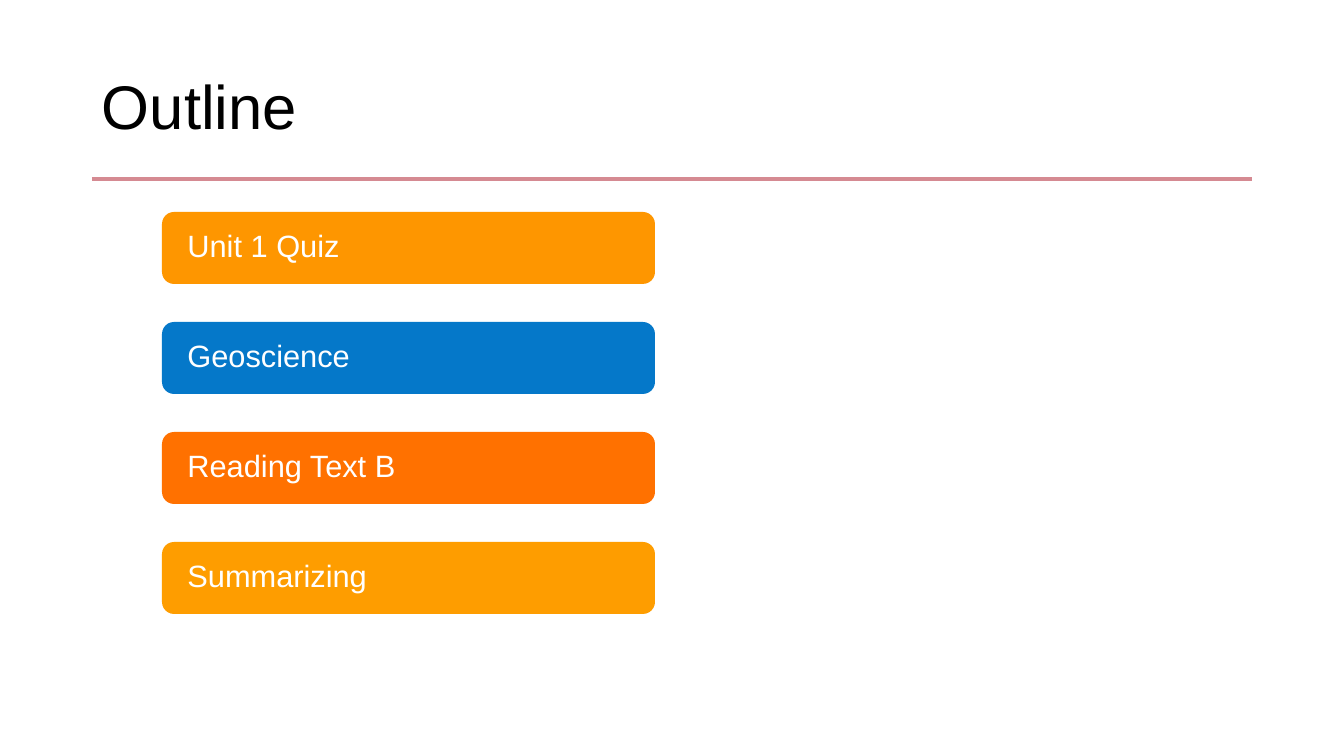
import pptx
import pptx.dml.color
import pptx.enum.shapes
import pptx.enum.text
import pptx.oxml.ns
import pptx.util
from lxml import etree

RGBColor = pptx.dml.color.RGBColor
BLACK = RGBColor(0x00, 0x00, 0x00)
WHITE = RGBColor(0xFF, 0xFF, 0xFF)
ROSE = RGBColor(0xD5, 0x8A, 0x92)
AMBER = RGBColor(0xFE, 0x96, 0x00)
BLUE = RGBColor(0x05, 0x78, 0xC9)
ORANGE = RGBColor(0xFF, 0x71, 0x00)
GOLD = RGBColor(0xFE, 0x9D, 0x00)

WIDE, HIGH = 1344, 756
SCALE = 914400 / 100.8

LEFT, RULE, SPAN = 92, 179, 1160
TOP, PITCH = 212, 110
TOPICS = [
    ("Unit 1 Quiz", AMBER),
    ("Geoscience", BLUE),
    ("Reading Text B", ORANGE),
    ("Summarizing", GOLD),
]


def px(count):
    """Turn whole pixels into EMU."""
    return pptx.util.Emu(round(count * SCALE))


def apply(target, values):
    """Set each attribute in a dict of format values."""
    for name, value in values.items():
        setattr(target, name, value)


class Deck:
    """Hold the style and the current slide."""

    font = "Arial"
    frame = {
        "word_wrap": True,
        "auto_size": pptx.enum.text.MSO_AUTO_SIZE.NONE,
        "vertical_anchor": pptx.enum.text.MSO_ANCHOR.MIDDLE,
    }
    para = {"alignment": pptx.enum.text.PP_ALIGN.LEFT, "line_spacing": 0.9}

    def __init__(self):
        """Open a wide deck with one title-only slide."""
        self.show = pptx.Presentation()
        apply(self.show, {"slide_width": px(WIDE), "slide_height": px(HIGH)})
        self.slide = self.show.slides.add_slide(self.show.slide_layouts[5])

    def label(self, shape, text, size, color, inset):
        """Put one formatted paragraph in a shape."""
        frame = shape.text_frame
        frame.text = text
        apply(frame, self.frame)
        apply(frame, {"margin_left": px(inset), "margin_right": px(inset)})
        line = frame.paragraphs[0]
        apply(line, self.para)
        font = line.runs[0].font
        apply(font, {"name": self.font, "size": pptx.util.Pt(size)})
        font.color.rgb = color

    def title(self, text, left, top, width, height):
        """Place and fill the title placeholder."""
        head = self.slide.shapes.title
        apply(head, {"left": px(left), "top": px(top),
                     "width": px(width), "height": px(height)})
        self.label(head, text, 44, BLACK, 10)

    def rule(self, left, top, width, color):
        """Draw a level line without a shadow."""
        line = self.slide.shapes.add_connector(
            pptx.enum.shapes.MSO_CONNECTOR.STRAIGHT,
            px(left), px(top), px(left + width), px(top))
        line.line.color.rgb = color
        line.line.width = pptx.util.Pt(3)
        props = line._element.spPr
        etree.SubElement(props, pptx.oxml.ns.qn("a:effectLst"))

    def bar(self, text, color, left, top, width, height):
        """Draw a rounded bar with its label."""
        bar = self.slide.shapes.add_shape(
            pptx.enum.shapes.MSO_SHAPE.ROUNDED_RECTANGLE,
            px(left), px(top), px(width), px(height))
        bar.shadow.inherit = False
        bar.fill.solid()
        bar.fill.fore_color.rgb = color
        bar.line.fill.background()
        self.label(bar, text, 22, WHITE, 22)


deck = Deck()
deck.rule(LEFT, RULE, SPAN, ROSE)
deck.title("Outline", LEFT, 40, SPAN, RULE - 40)
for row, (topic, color) in enumerate(TOPICS):
    deck.bar(topic, color, 162, TOP + row * PITCH, 493, 72)
deck.show.save("out.pptx")
